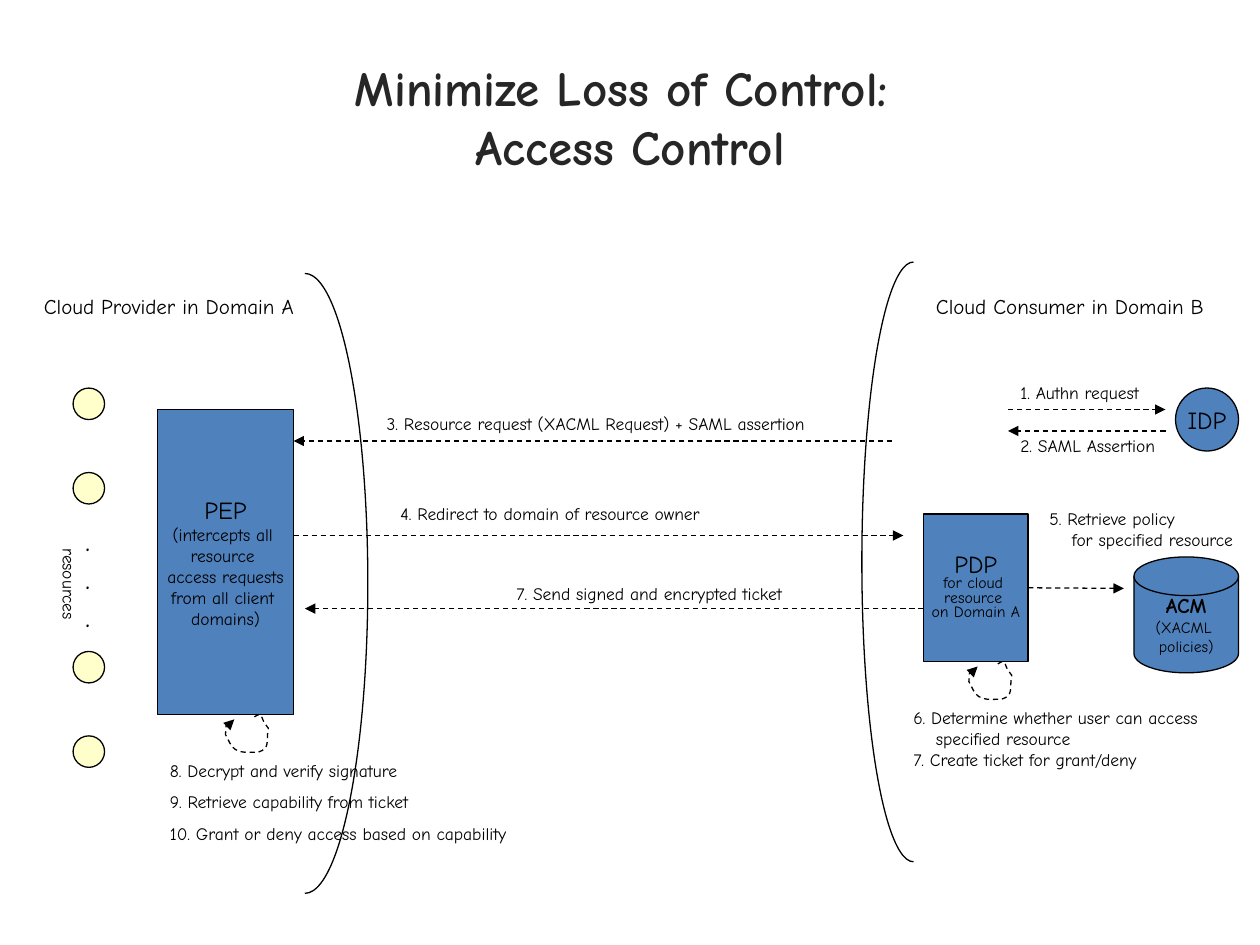
from dataclasses import dataclass
from itertools import product

from lxml import etree
from pptx import Presentation
from pptx.dml.color import RGBColor
from pptx.enum.dml import MSO_LINE
from pptx.enum.shapes import MSO_CONNECTOR, MSO_SHAPE
from pptx.enum.text import MSO_ANCHOR, MSO_AUTO_SIZE, PP_ALIGN
from pptx.oxml.ns import qn
from pptx.util import Inches, Pt


@dataclass(frozen=True)
class Theme:
    font: str = "Comic Neue"
    ink: str = "000000"
    heading: str = "262626"
    node: str = "4F81BD"
    resource: str = "FFFFCC"
    title: int = 28
    dots: int = 18
    name: int = 14
    domain: int = 12
    label: int = 10
    small: int = 9
    line: float = 0.75


THEME = Theme()

LOOP = [(7.92, 5.27),
        (7.98, 5.23), (7.97, 5.26), (7.99, 5.3),
        (8, 5.32), (8.03, 5.36), (8.03, 5.36),
        (8.01, 5.46), (8.05, 5.52), (7.95, 5.55),
        (7.89, 5.55), (7.82, 5.56), (7.77, 5.53),
        (7.73, 5.51), (7.71, 5.44), (7.69, 5.41),
        (7.7, 5.3), (7.68, 5.38), (7.73, 5.32),
        (7.76, 5.29), (7.73, 5.29), (7.76, 5.29)]


def style_font(p, size, bold=False, color=THEME.ink):
    p.font.name = THEME.font
    p.font.size = Pt(size)
    p.font.bold = bold
    p.font.color.rgb = RGBColor.from_string(color)


def style_line(sp, dashed=False):
    sp.line.color.rgb = RGBColor.from_string(THEME.ink)
    sp.line.width = Pt(THEME.line)
    if dashed:
        sp.line.dash_style = MSO_LINE.DASH
        etree.SubElement(sp.line._get_or_add_ln(), qn("a:tailEnd"), type="triangle")


def add_paragraphs(tf, lines):
    for i, text in enumerate(lines):
        p = tf.add_paragraph() if i else tf.paragraphs[0]
        p.text = text
        yield p


def add_title(slide, first, second):
    sp = slide.shapes.title
    sp.left, sp.top, sp.width, sp.height = map(Inches, (0.5, 0.3, 9, 1.25))
    tf = sp.text_frame
    tf.vertical_anchor = MSO_ANCHOR.MIDDLE
    p = tf.paragraphs[0]
    p.add_run().text = first
    p.add_line_break()
    p.add_run().text = second
    p.alignment = PP_ALIGN.CENTER
    style_font(p, THEME.title, True, THEME.heading)


def add_label(slide, box, lines, size=THEME.label, indented=(), rotation=0):
    sp = slide.shapes.add_textbox(*map(Inches, box))
    sp.rotation = rotation
    tf = sp.text_frame
    tf.word_wrap = False
    tf.auto_size = MSO_AUTO_SIZE.SHAPE_TO_FIT_TEXT
    for i, p in enumerate(add_paragraphs(tf, lines)):
        if i in indented:
            p._p.get_or_add_pPr().set("marL", str(Inches(0.18)))
        style_font(p, size)


def add_node(slide, kind, box, lines=(), sizes=(THEME.name, THEME.label),
             fill=THEME.node, bold=False, spacing=None):
    sp = slide.shapes.add_shape(kind, *map(Inches, box))
    sp.shadow.inherit = False
    sp.fill.solid()
    sp.fill.fore_color.rgb = RGBColor.from_string(fill)
    style_line(sp)
    tf = sp.text_frame
    tf.word_wrap = False
    tf.vertical_anchor = MSO_ANCHOR.MIDDLE
    for i, p in enumerate(add_paragraphs(tf, lines)):
        p.alignment = PP_ALIGN.CENTER
        p.line_spacing = spacing
        style_font(p, sizes[min(i, 1)], bold and i == 0)
    return sp


def add_boundary(slide, center, radii, start, end):
    (cx, cy), (rx, ry) = center, radii
    sp = slide.shapes.add_shape(
        MSO_SHAPE.ARC, *map(Inches, (cx - rx, cy - ry, 2 * rx, 2 * ry)))
    sp.shadow.inherit = False
    sp.fill.background()
    style_line(sp)
    for i, degrees in enumerate((start, end)):
        sp.adjustments[i] = degrees * 0.6


def add_arrow(slide, x1, x2, y, source=None, site=3):
    cx = slide.shapes.add_connector(
        MSO_CONNECTOR.STRAIGHT, *map(Inches, (x1, y, x2, y)))
    if source is not None:
        cx.begin_connect(source, site)
    style_line(cx, dashed=True)
    etree.SubElement(cx._element.spPr, qn("a:effectLst"))


def add_loop(slide, dx=0, dy=0):
    points = [(Inches(x + dx), Inches(y + dy)) for x, y in LOOP]
    builder = slide.shapes.build_freeform(*points[0])
    builder.add_line_segments(points[1:], close=False)
    sp = builder.convert_to_shape()
    segments = list(sp._element.iter(qn("a:lnTo")))
    for i in range(0, len(segments), 3):
        curve = etree.Element(qn("a:cubicBezTo"))
        segments[i].addprevious(curve)
        for segment in segments[i:i + 3]:
            curve.append(segment[0])
            segment.getparent().remove(segment)
    sp.shadow.inherit = False
    sp.fill.background()
    style_line(sp, dashed=True)


def add_provider(slide):
    add_label(slide, (0.25, 2.28, 2.3, 0.3), ["Cloud Provider in Domain A"], THEME.domain)
    add_node(slide, MSO_SHAPE.RECTANGLE, (1.25, 3.25, 1.08, 2.42),
             ["PEP", "(intercepts all ", "resource ", "access requests",
              "from all client ", "domains)"])
    add_boundary(slide, (2.42, 4.63), (0.5, 2.46), 270, 90)
    for top, step in product((3.08, 5.17), (0, 0.67)):
        add_node(slide, MSO_SHAPE.OVAL, (0.58, top + step, 0.25, 0.25),
                 fill=THEME.resource)
    add_label(slide, (0.58, 4.08, 0.27, 1), [".", ".", "."], THEME.dots)
    add_label(slide, (0.13, 4.54, 0.84, 0.27), ["resources"], rotation=90)
    add_loop(slide, -5.9, 0.42)
    steps = [("8. Decrypt and verify signature", 2.26),
             ("9. Retrieve capability from ticket", 2.4),
             ("10. Grant or deny access based on capability", 3.09)]
    for i, (text, width) in enumerate(steps):
        add_label(slide, (1.25, 5.98 + 0.25 * i, width, 0.27), [text])


def add_consumer(slide):
    add_label(slide, (7.33, 2.28, 2.4, 0.3), ["Cloud Consumer in Domain B"], THEME.domain)
    pdp = add_node(slide, MSO_SHAPE.RECTANGLE, (7.33, 4.08, 0.83, 1.17),
                   ["PDP", "for cloud ", "resource ", "on Domain A"],
                   (THEME.name, THEME.small), spacing=0.75)
    add_node(slide, MSO_SHAPE.FLOWCHART_MAGNETIC_DISK, (9, 4.42, 0.83, 0.92),
             ["ACM", "(XACML ", "policies)"], (THEME.domain, THEME.small), bold=True)
    add_node(slide, MSO_SHAPE.OVAL, (9.33, 3.08, 0.5, 0.5), ["IDP"])
    add_boundary(slide, (7.25, 4.46), (0.41, 2.38), 90, 270)
    add_arrow(slide, 8.16, 8.92, 4.67, pdp)
    add_label(slide, (8.23, 3.98, 1.84, 0.44),
              ["5. Retrieve policy", "for specified resource"], indented=(1,))
    add_loop(slide)
    add_label(slide, (7.15, 5.56, 2.74, 0.61),
              ["6. Determine whether user can access", "specified resource",
               "7. Create ticket for grant/deny"], indented=(1,))


def add_messages(slide):
    messages = [
        (8, 9.25, 3.25, (8, 2.98, 1.28), "1. Authn request"),
        (9.25, 8, 3.42, (8, 3.4, 1.44), "2. SAML Assertion"),
        (7.08, 2.33, 3.5, (2.97, 3.23, 3.91),
         "3. Resource request (XACML Request) + SAML assertion"),
        (2.33, 7.17, 4.25, (3.08, 3.94, 2.84), "4. Redirect to domain of resource owner"),
        (7.33, 2.42, 4.83, (4, 4.58, 2.56), "7. Send signed and encrypted ticket"),
    ]
    for x1, x2, y, box, text in messages:
        add_arrow(slide, x1, x2, y)
        add_label(slide, (*box, 0.27), [text])


def main():
    prs = Presentation()
    prs.slide_width, prs.slide_height = Inches(10), Inches(7.5)
    slide = prs.slides.add_slide(prs.slide_layouts[5])
    add_title(slide, "Minimize Loss of Control: ", "Access Control")
    add_provider(slide)
    add_consumer(slide)
    add_messages(slide)
    prs.save("out.pptx")


if __name__ == "__main__":
    main()
